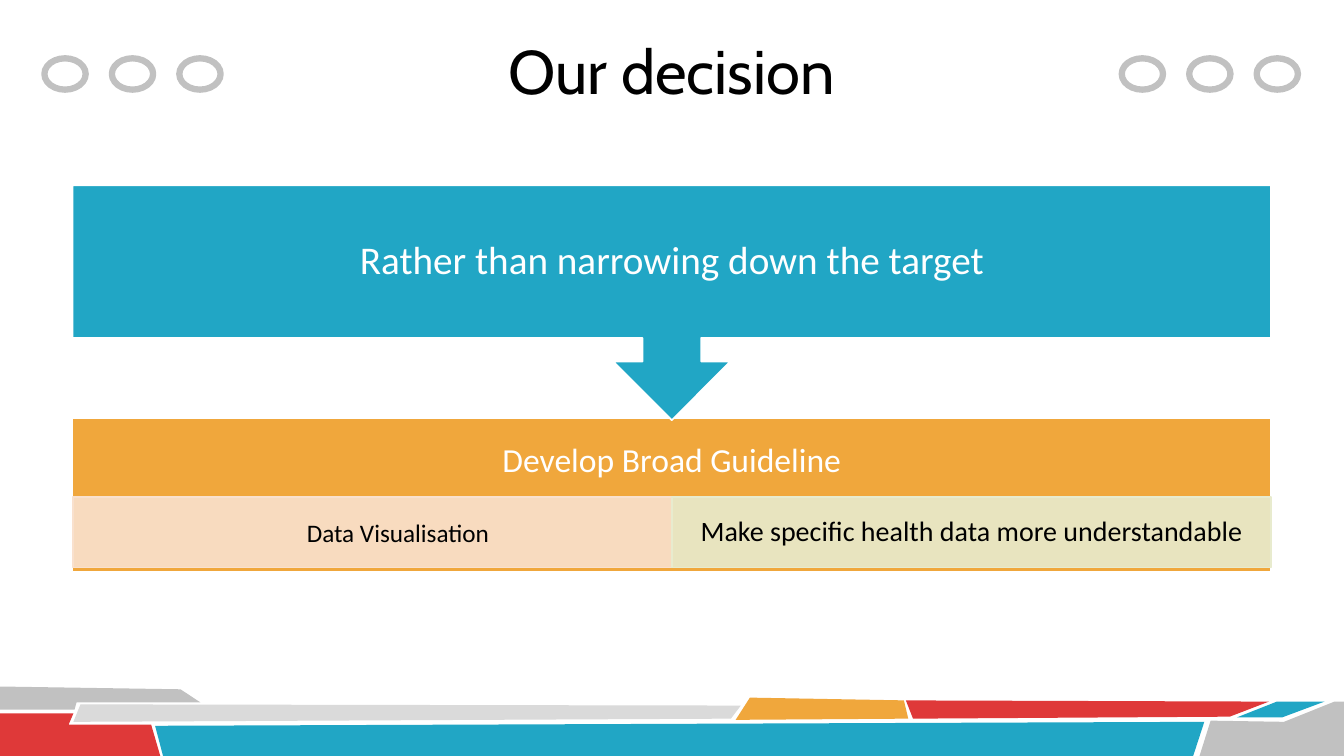
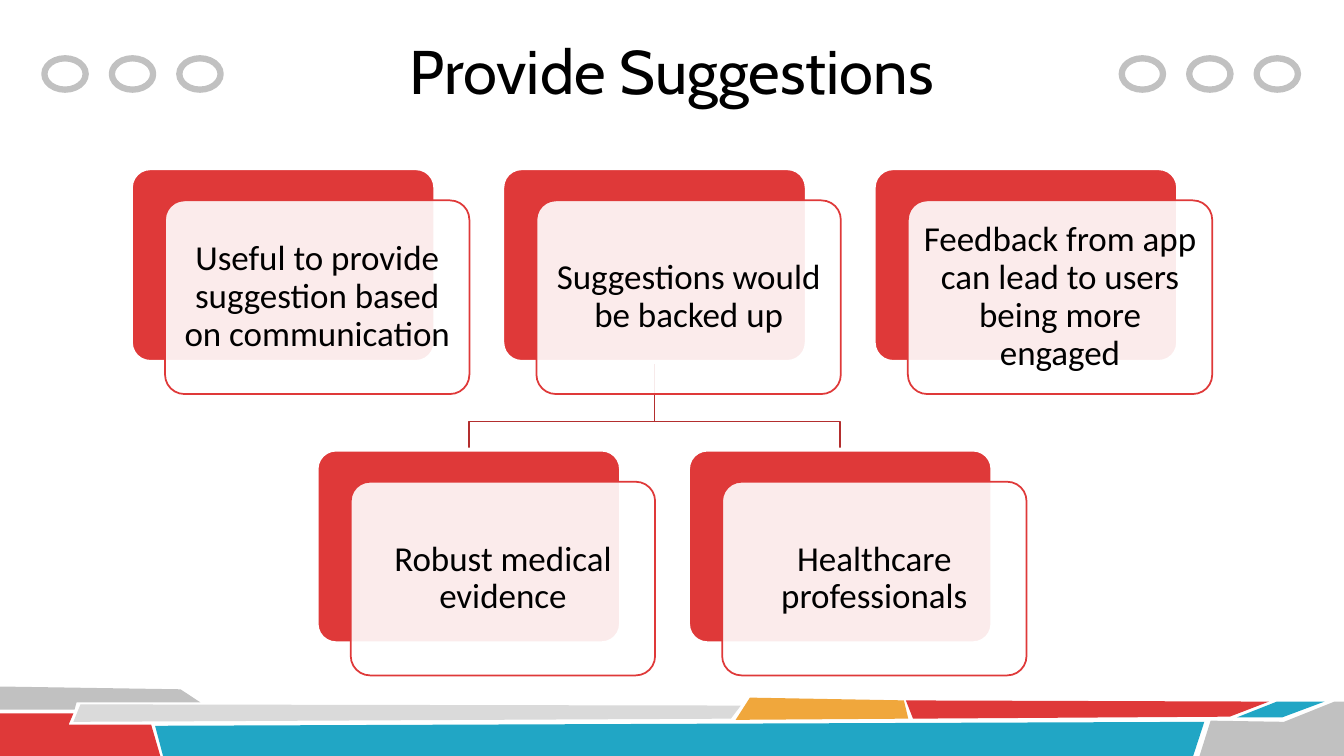
from dataclasses import dataclass

from lxml import etree
from pptx import Presentation
from pptx.dml.color import RGBColor
from pptx.enum.shapes import MSO_SHAPE
from pptx.enum.text import MSO_ANCHOR, PP_ALIGN
from pptx.oxml.ns import qn
from pptx.shapes.autoshape import Shape
from pptx.slide import Slide
from pptx.util import Cm, Pt

RECTANGLE = MSO_SHAPE.RECTANGLE
ROUNDED = MSO_SHAPE.ROUNDED_RECTANGLE
OVAL = MSO_SHAPE.OVAL
ARROW_CALLOUT = MSO_SHAPE.DOWN_ARROW_CALLOUT
MIDDLE = MSO_ANCHOR.MIDDLE
CENTER = PP_ALIGN.CENTER

Point = tuple[float, float]


@dataclass(frozen=True)
class Theme:
    red: str = "DF3939"
    dark_red: str = "B32E2E"
    teal: str = "21A6C5"
    orange: str = "F0A73C"
    grey: str = "C1C1C1"
    light_grey: str = "DADADA"
    peach: str = "F9E1CE"
    pale_green: str = "E8EBCE"
    white: str = "FFFFFF"
    black: str = "000000"
    title_font: str = "Cabin"
    body_font: str = "Calibri"
    title_size: float = 44
    lead_size: float = 28
    card_size: float = 25
    bar_size: float = 24
    detail_size: float = 20
    label_size: float = 18
    ring_line: float = 4.5
    card_line: float = 2.75
    thin_line: float = 1.25


THEME = Theme()


@dataclass(frozen=True)
class Area:
    left: float
    top: float
    width: float
    height: float


@dataclass(frozen=True)
class Look:
    fill: str | None = None
    line: str | None = None
    line_width: float = THEME.thin_line
    opacity: int = 100


@dataclass(frozen=True)
class Insets:
    left: float = 0.25
    top: float = 0.25
    right: float = 0.25
    bottom: float = 0.25


@dataclass(frozen=True)
class Label:
    text: str
    size: float
    color: str = THEME.black
    font: str = THEME.body_font
    insets: Insets = Insets()
    spacing: float = 0.9


@dataclass(frozen=True)
class Band:
    color: str
    points: tuple[Point, ...]


@dataclass(frozen=True)
class Card:
    text: str
    column: float
    row: int


SLIDE_WIDTH, SLIDE_HEIGHT = 33.87, 19.05
TITLE_AREA = Area(5.92, 0.3, 22.02, 3.18)

BANDS = (
    Band(THEME.grey, ((0, 17.3), (4.55, 17.37), (5.05, 17.7),
                      (1.93, 17.7), (1.88, 17.88), (0, 17.88))),
    Band(THEME.red, ((0, 17.98), (1.85, 17.98), (1.73, 18.26),
                     (3.81, 18.26), (4.04, SLIDE_HEIGHT), (0, SLIDE_HEIGHT))),
    Band(THEME.light_grey, ((2.03, 17.75), (18.67, 17.78),
                            (18.42, 18.11), (1.85, 18.19))),
    Band(THEME.teal, ((3.91, 18.29), (30.35, 18.19),
                      (30.07, SLIDE_HEIGHT), (4.11, SLIDE_HEIGHT))),
    Band(THEME.orange, ((18.9, 17.58), (22.78, 17.65),
                        (22.89, 18.11), (18.54, 18.14))),
    Band(THEME.red, ((22.83, 17.65), (31.98, 17.68),
                     (30.99, 18.06), (23.01, 18.11))),
    Band(THEME.teal, ((32.18, 17.68), (33.38, 17.68),
                      (32.31, 18.08), (31.17, 18.08))),
    Band(THEME.grey, ((30.51, 18.16), (32.36, 18.19), (33.63, 17.68),
                      (SLIDE_WIDTH, 17.68), (SLIDE_WIDTH, SLIDE_HEIGHT),
                      (30.23, SLIDE_HEIGHT))),
)

RING_GROUPS = (1.12, 28.27)
RINGS_PER_GROUP = 3
RING_STEP = 1.7

CARD_WIDTH, CARD_HEIGHT = 7.67, 4.88
CARD_LEFT, CARD_STEP = 3.3, 9.36
CARD_TOPS = (4.24, 11.33)
CARD_SHIFT_X, CARD_SHIFT_Y = 0.86, 0.81
CARD_CORNER = 0.1
BRANCH_TURN = 10.62

CARDS = (
    Card("Useful to provide suggestion based on communication", 0, 0),
    Card("Suggestions would be backed up", 1, 0),
    Card("Robust medical evidence", 0.5, 1),
    Card("Healthcare professionals", 1.5, 1),
    Card("Feedback from app can lead to users being more engaged", 2, 0),
)


def apply_look(shape: Shape, look: Look) -> None:
    shape.shadow.inherit = False
    if look.fill:
        shape.fill.solid()
        shape.fill.fore_color.rgb = RGBColor.from_string(look.fill)
        if look.opacity < 100:
            color = shape.element.spPr.find(qn("a:solidFill"))[0]
            etree.SubElement(color, qn("a:alpha"), val=str(look.opacity * 1000))
    else:
        shape.fill.background()
    if look.line:
        shape.line.color.rgb = RGBColor.from_string(look.line)
        shape.line.width = Pt(look.line_width)
    else:
        shape.line.fill.background()


def write_label(shape: Shape, label: Label) -> None:
    frame = shape.text_frame
    frame.word_wrap = True
    frame.vertical_anchor = MIDDLE
    frame.margin_left = Cm(label.insets.left)
    frame.margin_top = Cm(label.insets.top)
    frame.margin_right = Cm(label.insets.right)
    frame.margin_bottom = Cm(label.insets.bottom)
    para = frame.paragraphs[0]
    para.text = label.text
    para.alignment = CENTER
    para.line_spacing = label.spacing
    para.font.name = label.font
    para.font.size = Pt(label.size)
    para.font.color.rgb = RGBColor.from_string(label.color)


def add_box(page: Slide, kind: MSO_SHAPE, area: Area, look: Look,
            label: Label | None = None) -> Shape:
    box = page.shapes.add_shape(kind, Cm(area.left), Cm(area.top),
                                Cm(area.width), Cm(area.height))
    apply_look(box, look)
    if label:
        write_label(box, label)
    return box


def add_outline(page: Slide, points: tuple[Point, ...], look: Look,
                close: bool = True) -> None:
    first, *rest = [(Cm(x), Cm(y)) for x, y in points]
    builder = page.shapes.build_freeform(*first)
    builder.add_line_segments(rest, close=close)
    apply_look(builder.convert_to_shape(), look)


def add_page(deck: Presentation, title: str) -> Slide:
    page = deck.slides.add_slide(deck.slide_layouts[6])
    for band in BANDS:
        add_outline(page, band.points, Look(fill=band.color))
    ring_look = Look(line=THEME.grey, line_width=THEME.ring_line)
    for start in RING_GROUPS:
        for index in range(RINGS_PER_GROUP):
            area = Area(start + index * RING_STEP, 1.47, 1.04, 0.79)
            add_box(page, OVAL, area, ring_look)
    box = page.shapes.add_textbox(Cm(TITLE_AREA.left), Cm(TITLE_AREA.top),
                                  Cm(TITLE_AREA.width), Cm(TITLE_AREA.height))
    write_label(box, Label(title, THEME.title_size, font=THEME.title_font))
    return page


def add_card(page: Slide, card: Card) -> None:
    left = CARD_LEFT + card.column * CARD_STEP
    top = CARD_TOPS[card.row]
    back = add_box(page, ROUNDED, Area(left, top, CARD_WIDTH, CARD_HEIGHT),
                   Look(THEME.red, THEME.white, THEME.card_line))
    front = add_box(page, ROUNDED,
                    Area(left + CARD_SHIFT_X, top + CARD_SHIFT_Y,
                         CARD_WIDTH, CARD_HEIGHT),
                    Look(THEME.white, THEME.red, opacity=90),
                    Label(card.text, THEME.card_size))
    for box in (back, front):
        box.adjustments[0] = CARD_CORNER


def build_decision(deck: Presentation) -> None:
    page = add_page(deck, "Our decision")
    add_box(page, RECTANGLE, Area(1.83, 10.54, 30.2, 3.86),
            Look(THEME.orange, THEME.white),
            Label("Develop Broad Guideline", THEME.bar_size, THEME.white,
                  insets=Insets(0.5, 0.5, 0.5, 2.28), spacing=1.0))
    details = (
        (THEME.peach, Label("Data Visualisation", THEME.label_size,
                            insets=Insets(1.67, 0.08, 0.4, 0.08), spacing=1.0)),
        (THEME.pale_green, Label("Make specific health data more understandable",
                                 THEME.detail_size,
                                 insets=Insets(0.4, 0.08, 0.4, 0.08))),
    )
    width = 15.09
    for index, (color, label) in enumerate(details):
        add_box(page, RECTANGLE, Area(1.85 + index * width, 12.52, width, 1.78),
                Look(color, color, opacity=90), label)
    add_box(page, ARROW_CALLOUT, Area(1.83, 4.67, 30.2, 5.92),
            Look(THEME.teal, THEME.white),
            Label("Rather than narrowing down the target", THEME.lead_size,
                  THEME.white, insets=Insets(0.5, 0.5, 0.5, 0.5)))


def build_suggestions(deck: Presentation) -> None:
    page = add_page(deck, "Provide Suggestions")
    trunk = CARD_LEFT + CARD_STEP + CARD_WIDTH / 2
    for side in (1, -1):
        branch = trunk + side * CARD_STEP / 2
        points = ((trunk, CARD_TOPS[0] + CARD_HEIGHT), (trunk, BRANCH_TURN),
                  (branch, BRANCH_TURN), (branch, CARD_TOPS[1]))
        add_outline(page, points, Look(line=THEME.dark_red), close=False)
    for card in CARDS:
        add_card(page, card)


def main() -> None:
    deck = Presentation()
    deck.slide_width = Cm(SLIDE_WIDTH)
    deck.slide_height = Cm(SLIDE_HEIGHT)
    build_decision(deck)
    build_suggestions(deck)
    deck.save("out.pptx")


if __name__ == "__main__":
    main()
